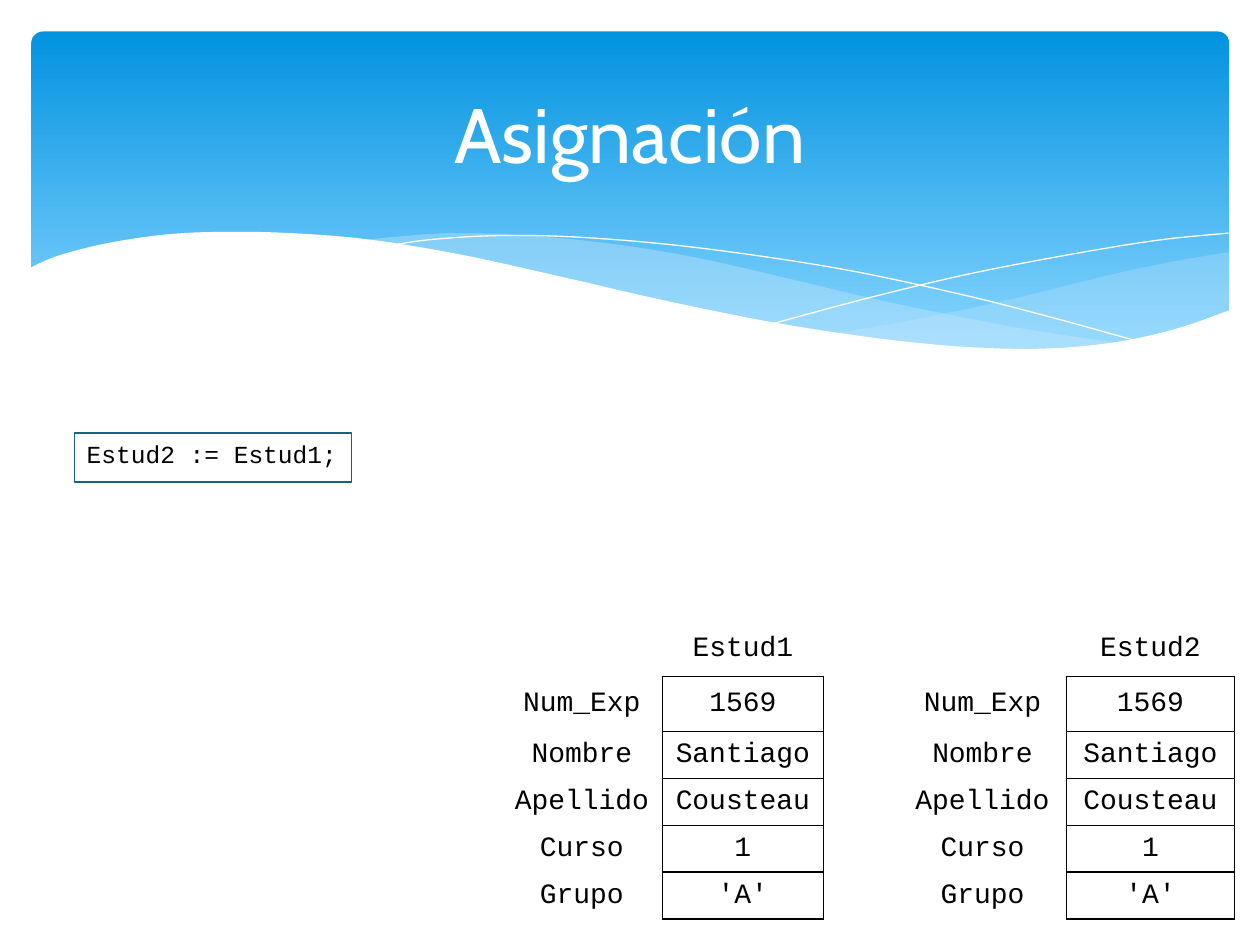
from lxml import etree
from pptx import Presentation
from pptx import util as u
from pptx.dml.color import RGBColor
from pptx.enum import shapes, text
from pptx.oxml.ns import qn

Pt = u.Pt
MONO = "Courier New"
FIELDS = [("Num_Exp", "1569"), ("Nombre", "Santiago"), ("Apellido", "Cousteau"),
          ("Curso", "1"), ("Grupo", "'A'")]

# Curve points, in points from the top left corner of the header
RIGHT_WAVE_TOP = [(684.7, 126), (655, 131), (623.5, 137.5), (602, 142.6),
                  (561.6, 152.6), (507, 164.2), (458, 172.8)]
RIGHT_WAVE_BOTTOM = [(458, 172.8), (489.6, 177), (527, 180.7), (568, 182.2),
                     (609.8, 179.3), (645, 172.8), (665.3, 167), (684.7, 159.8)]
LEFT_WAVE_TOP = [(625, 178.6), (563, 169.2), (490.3, 154.8), (435, 141.8),
                 (381.6, 129.6), (334, 121.7), (284.4, 116.6), (242, 115.2),
                 (207.4, 117.4), (188, 119.5)]
LEFT_WAVE_BOTTOM = [(188, 119.5), (228, 125.3), (273, 134), (305.3, 141.8),
                    (363.6, 154.8), (427, 167.8), (482.4, 176.4), (530, 181.4),
                    (571, 182.2), (625, 178.6)]
FALLING_LINE = [(204.5, 122.4), (229.7, 118.8), (270.7, 116.6), (319.7, 118),
                (382.3, 123.8), (460.8, 135.4), (529.2, 149.8), (580.3, 162.7),
                (635, 177.8)]
RISING_LINE = [(423.4, 167), (482.4, 151.2), (540.7, 137.5), (605.5, 125.3),
               (647.3, 118.8), (684, 115.2)]
WHITE_EDGE = [(685.4, 159), (651.6, 170.6), (612, 178.6), (564.5, 181.4),
              (504.7, 177.8), (432.7, 167.8), (363, 154), (303.8, 140.4),
              (244.8, 127.4), (192.2, 118.8), (147.6, 115.2), (109.4, 114.5),
              (77, 116), (43.2, 121), (15, 128.2), (-1.4, 135.4)]
WHITE_CORNERS = [(-1.4, 219), (685.4, 219)]


def rgb(color):
    return RGBColor.from_string(color)


def smooth(points, steps=6):
    """Return points along a Catmull-Rom curve through the given points."""
    padded = [points[0], *points, points[-1]]
    curve = [points[0]]
    for a, b, c, d in zip(padded, padded[1:], padded[2:], padded[3:]):
        for i in range(1, steps + 1):
            t = i / steps
            curve.append(tuple(
                q + t / 2 * (r - p + t * (2 * p - 5 * q + 4 * r - s
                                          + t * (3 * (q - r) + s - p)))
                for p, q, r, s in zip(a, b, c, d)))
    return curve


def add_run(p, words, font, size, color="000000", align=text.PP_ALIGN.CENTER):
    p.alignment = align
    r = p.add_run()
    r.text = words
    r.font.name, r.font.size = font, Pt(size)
    r.font.color.rgb = rgb(color)


def add_path(s, x, y, points, fill=None, opacity=100):
    """Draw a closed filled area, or an open white hairline without fill."""
    (x0, y0), *rest = [(Pt(x + px), Pt(y + py)) for px, py in points]
    builder = s.shapes.build_freeform(x0, y0)
    builder.add_line_segments(rest, close=fill is not None)
    sp = builder.convert_to_shape()
    sp.shadow.inherit = False
    if fill is None:
        sp.fill.background()
        sp.line.color.rgb = rgb("FFFFFF")
        sp.line.width = Pt(0)
        return
    sp.line.fill.background()
    sp.fill.solid()
    sp.fill.fore_color.rgb = rgb(fill)
    if opacity < 100:
        clr = sp.fill._xPr.find(".//" + qn("a:srgbClr"))
        etree.SubElement(clr, qn("a:alpha"), val=str(opacity * 1000))


def add_header(s, x, y, w, h, title):
    sp = s.shapes.add_shape(shapes.MSO_SHAPE.ROUNDED_RECTANGLE,
                            Pt(x), Pt(y), Pt(w), Pt(h))
    sp.adjustments[0] = 0.034
    sp.shadow.inherit = False
    sp.line.fill.background()
    sp.fill.gradient()
    sp.fill.gradient_angle = 270
    stops = [(0, "0293E0"), (0.9, "83D3FE")]
    for stop, (position, color) in zip(sp.fill.gradient_stops, stops):
        stop.position, stop.color.rgb = position, rgb(color)

    add_path(s, x, y, smooth(RIGHT_WAVE_TOP) + smooth(RIGHT_WAVE_BOTTOM), "C6E7FC", 29)
    add_path(s, x, y, smooth(LEFT_WAVE_TOP) + smooth(LEFT_WAVE_BOTTOM), "C6E7FC", 40)
    add_path(s, x, y, smooth(FALLING_LINE))
    add_path(s, x, y, smooth(RISING_LINE))
    add_path(s, x, y, smooth(WHITE_EDGE) + WHITE_CORNERS, "FFFFFF")

    tb = s.shapes.add_textbox(Pt(x + 18), Pt(y + 8.6), Pt(w - 36.5), Pt(98.6))
    tf = tb.text_frame
    tf.word_wrap = True
    tf.vertical_anchor = text.MSO_ANCHOR.MIDDLE
    add_run(tf.paragraphs[0], title, "Cabin", 44, "FFFFFF")


def add_code_box(s, x, y, w, h, code):
    sp = s.shapes.add_shape(shapes.MSO_SHAPE.RECTANGLE, Pt(x), Pt(y), Pt(w), Pt(h))
    sp.shadow.inherit = False
    sp.fill.background()
    sp.line.color.rgb = rgb("1A5F84")
    sp.line.width = Pt(0.75)
    tf = sp.text_frame
    tf.word_wrap = True
    tf.vertical_anchor = text.MSO_ANCHOR.TOP
    add_run(tf.paragraphs[0], code, MONO, 14, align=text.PP_ALIGN.JUSTIFY)


def set_border(cell, side, visible):
    ln = etree.SubElement(cell._tc.get_or_add_tcPr(), qn("a:ln" + side), w=str(Pt(1)))
    if visible:
        fill = etree.SubElement(ln, qn("a:solidFill"))
        etree.SubElement(fill, qn("a:srgbClr"), val="000000")
    else:
        etree.SubElement(ln, qn("a:noFill"))


def add_records(s, x, y, widths, heights, names):
    """Draw two records side by side, with a frame round each value."""
    rows = [["", names[0], "", "", names[1]]]
    rows += [[field, value, "", field, value] for field, value in FIELDS]
    tbl = s.shapes.add_table(len(rows), len(widths), Pt(x), Pt(y),
                             Pt(sum(widths)), Pt(sum(heights))).table
    tbl.first_row = tbl.horz_banding = False
    for column, width in zip(tbl.columns, widths):
        column.width = Pt(width)
    for row, height in zip(tbl.rows, heights):
        row.height = Pt(height)

    def framed(i, j):
        return j in (1, 4) and 0 < i < len(rows)

    neighbours = {"L": (0, -1), "R": (0, 1), "T": (-1, 0), "B": (1, 0)}
    for i, row in enumerate(rows):
        for j, words in enumerate(row):
            cell = tbl.cell(i, j)
            for side, (di, dj) in neighbours.items():
                set_border(cell, side, framed(i, j) or framed(i + di, j + dj))
            cell.fill.background()
            cell.margin_top = cell.margin_bottom = 0
            cell.vertical_anchor = text.MSO_ANCHOR.MIDDLE
            if words:
                add_run(cell.text_frame.paragraphs[0], words, MONO, 16)


def main():
    prs = Presentation()
    prs.slide_width, prs.slide_height = Pt(720), Pt(540)
    s = prs.slides.add_slide(prs.slide_layouts[6])
    add_header(s, 18, 18, 684.5, 194.5, "Asignación")
    add_records(s, 286.5, 355, [92, 92, 43, 96, 96], [31.5] * 2 + [26.8] * 4,
                ["Estud1", "Estud2"])
    add_code_box(s, 42.5, 247.5, 158.5, 28, "Estud2 := Estud1;")
    prs.save("out.pptx")


if __name__ == "__main__":
    main()
